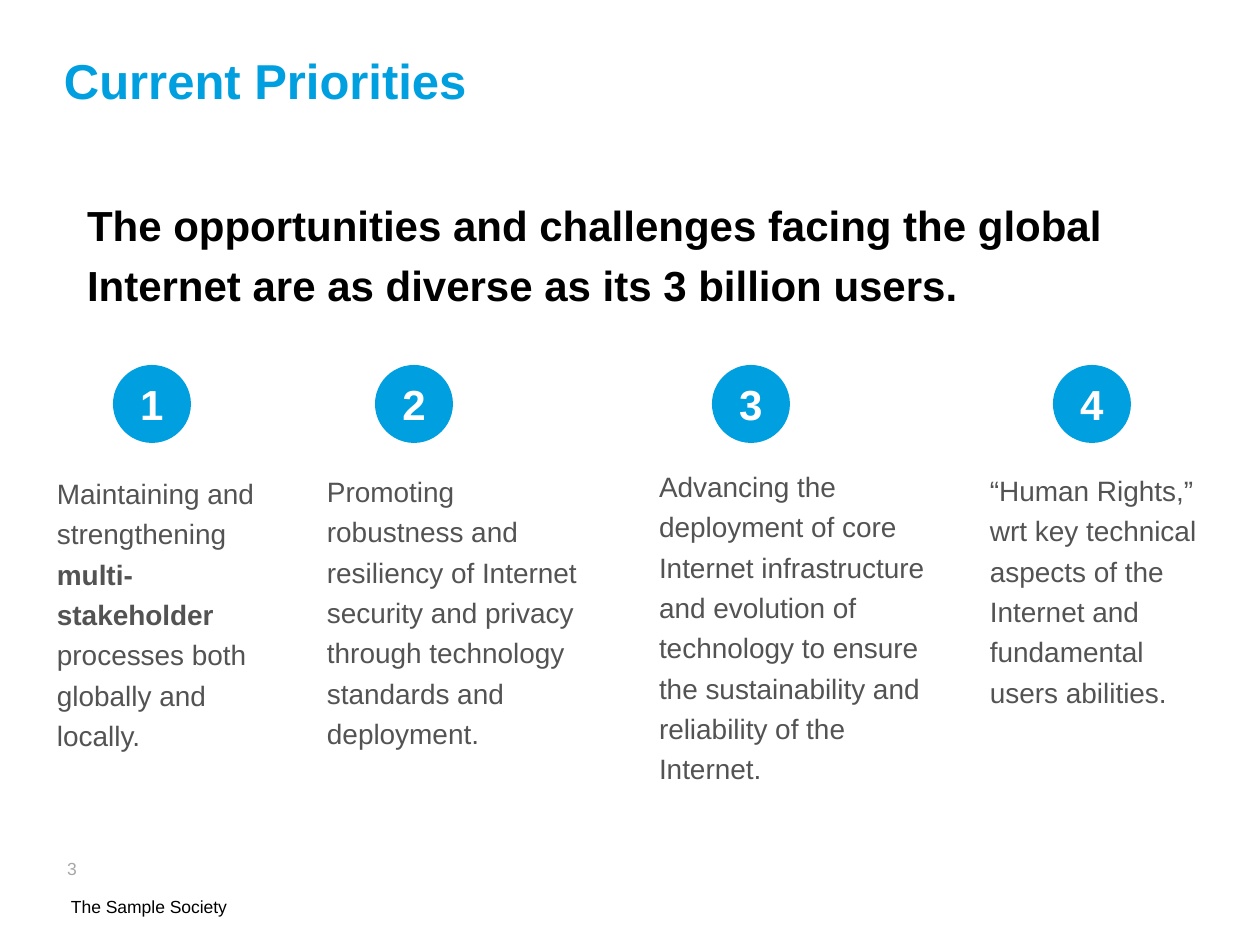
"""Build the Current Priorities slide with its four numbered columns."""
from lxml.etree import SubElement
from pptx import Presentation
from pptx.dml.color import RGBColor
from pptx.enum.shapes import MSO_SHAPE
from pptx.enum.text import MSO_ANCHOR, MSO_AUTO_SIZE, PP_ALIGN
from pptx.oxml.ns import qn
from pptx.util import Pt

SCALE = 914400 / 126
BLUE, BLACK, GREY, PALE, WHITE = "009FDF", "000000", "535353", "A7A7A7", "FFFFFF"

TITLE = "Current Priorities"
LEAD = ("The opportunities and challenges facing the global Internet "
        "are as diverse as its 3 billion users.")
NOTES = [
    ("The Sample Society", (39, 886, 252, 59), BLACK),
    ("3", (35, 873, 294, 34), PALE),
]
ITEMS = [
    {"dot": 113, "box": (44, 457, 241, 309), "pad": 13,
     "text": [[("Maintaining and strengthening ", False),
               ("multi-stakeholder ", True),
               ("processes both globally and locally.", False)]]},
    {"dot": 375, "box": (321, 462, 267, 297), "pad": 6,
     "text": [[("Promoting robustness and resiliency of Internet security and "
                "privacy through technology standards and deployment.", False)]]},
    {"dot": 712, "box": (653, 457, 294, 339), "pad": 6,
     "text": [[("Advancing the deployment of core Internet infrastructure and "
                "evolution of technology to ensure the sustainability and "
                "reliability of the Internet.", False)]]},
    {"dot": 1053, "box": (977, 454, 252, 268), "pad": 13,
     "text": [[("“Human Rights,”", False)],
              [("wrt key technical aspects of the Internet and fundamental "
                "users abilities.", False)]]},
]
DOT_TOP, DOT_SIZE = 365, 78


def px(num):
    return round(num * SCALE)


def tint(code):
    return RGBColor.from_string(code)


def apply(thing, vals):
    for name, val in vals.items():
        setattr(thing, name, val)


def place(shape, box):
    apply(shape, dict(zip(("left", "top", "width", "height"), map(px, box))))


def write(shape, paras, size, color, pads, line=1.0, before=0, **frame):
    body = shape.text_frame
    sides = ("margin_left", "margin_top", "margin_right", "margin_bottom")
    look = {"word_wrap": True, "auto_size": MSO_AUTO_SIZE.NONE,
            "vertical_anchor": MSO_ANCHOR.TOP}
    align = frame.pop("align", PP_ALIGN.LEFT)
    apply(body, look | dict(zip(sides, map(px, pads))) | frame)
    for pos, runs in enumerate(paras):
        para = body.add_paragraph() if pos else body.paragraphs[0]
        apply(para, {"alignment": align, "line_spacing": line,
                     "space_before": Pt(before)})
        for text, bold in runs:
            run = para.add_run()
            run.text = text
            apply(run.font, {"name": "Arial", "size": Pt(size), "bold": bold})
            run.font.color.rgb = tint(color)


def main():
    deck = Presentation()
    apply(deck, {"slide_width": px(1260), "slide_height": px(945)})
    slide = deck.slides.add_slide(deck.slide_layouts[1])
    shapes = slide.shapes

    title, lead = slide.placeholders
    place(title, (32, 32, 1197, 126))
    write(title, [[(TITLE, True)]], 28, BLUE, (32, 25, 32, 32), line=0.9)
    place(lead, (55, 176, 1100, 176))
    write(lead, [[(LEAD, True)]], 24, BLACK, (32, 13, 32, 13), line=1.2, before=24)
    props = lead.text_frame.paragraphs[0]._p.get_or_add_pPr()
    props.set("marL", "0")
    props.set("indent", "0")
    SubElement(props, qn("a:buNone"))

    for text, box, color in NOTES:
        note = shapes.add_textbox(*map(px, box))
        write(note, [[(text, False)]], 10, color, (32, 6, 32, 28),
              word_wrap=False, vertical_anchor=MSO_ANCHOR.BOTTOM)

    for num, item in enumerate(ITEMS, 1):
        text = shapes.add_textbox(*map(px, item["box"]))
        write(text, item["text"], 16, GREY, (item["pad"],) * 4, line=1.2,
              auto_size=MSO_AUTO_SIZE.SHAPE_TO_FIT_TEXT)
        spot = (item["dot"], DOT_TOP, DOT_SIZE, DOT_SIZE)
        dot = shapes.add_shape(MSO_SHAPE.OVAL, *map(px, spot))
        dot.shadow.inherit = False
        dot.fill.solid()
        dot.fill.fore_color.rgb = tint(BLUE)
        dot.line.fill.background()
        write(dot, [[(str(num), True)]], 24, WHITE, (0,) * 4,
              align=PP_ALIGN.CENTER, vertical_anchor=MSO_ANCHOR.MIDDLE)

    deck.save("out.pptx")


if __name__ == "__main__":
    main()
